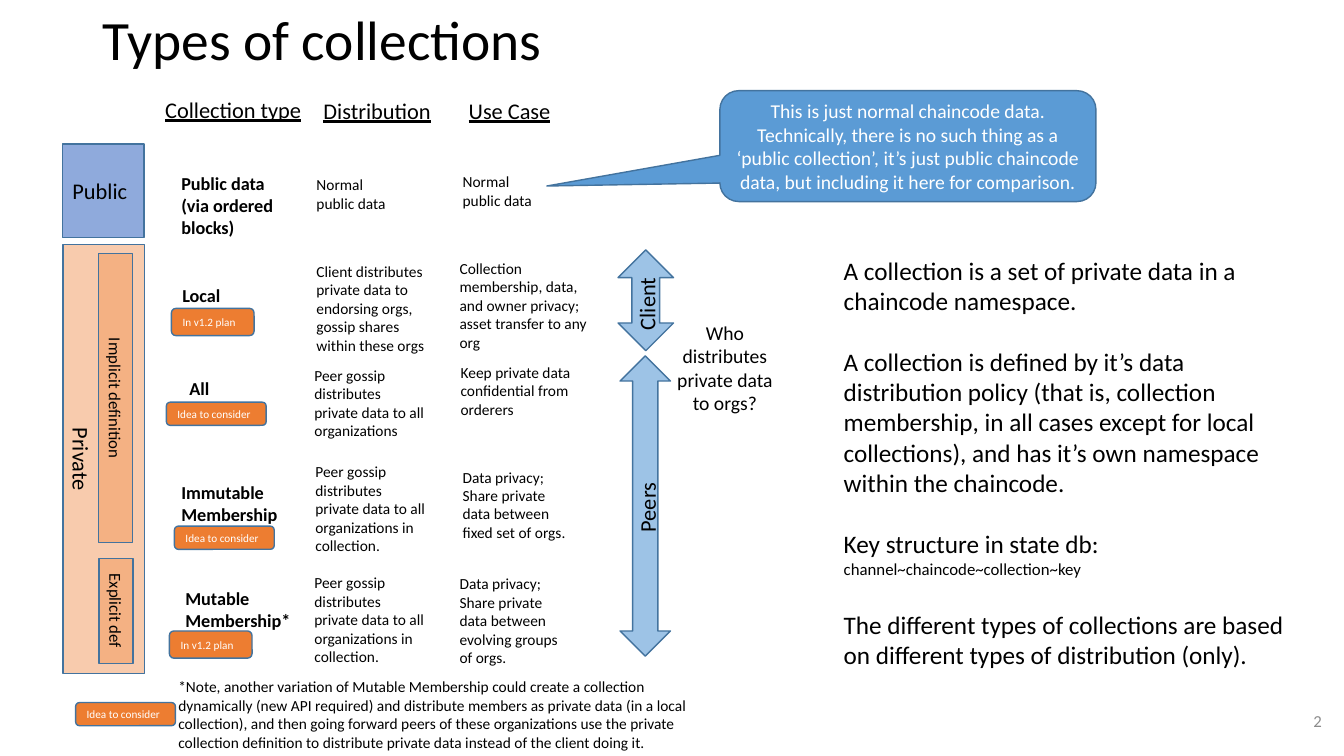
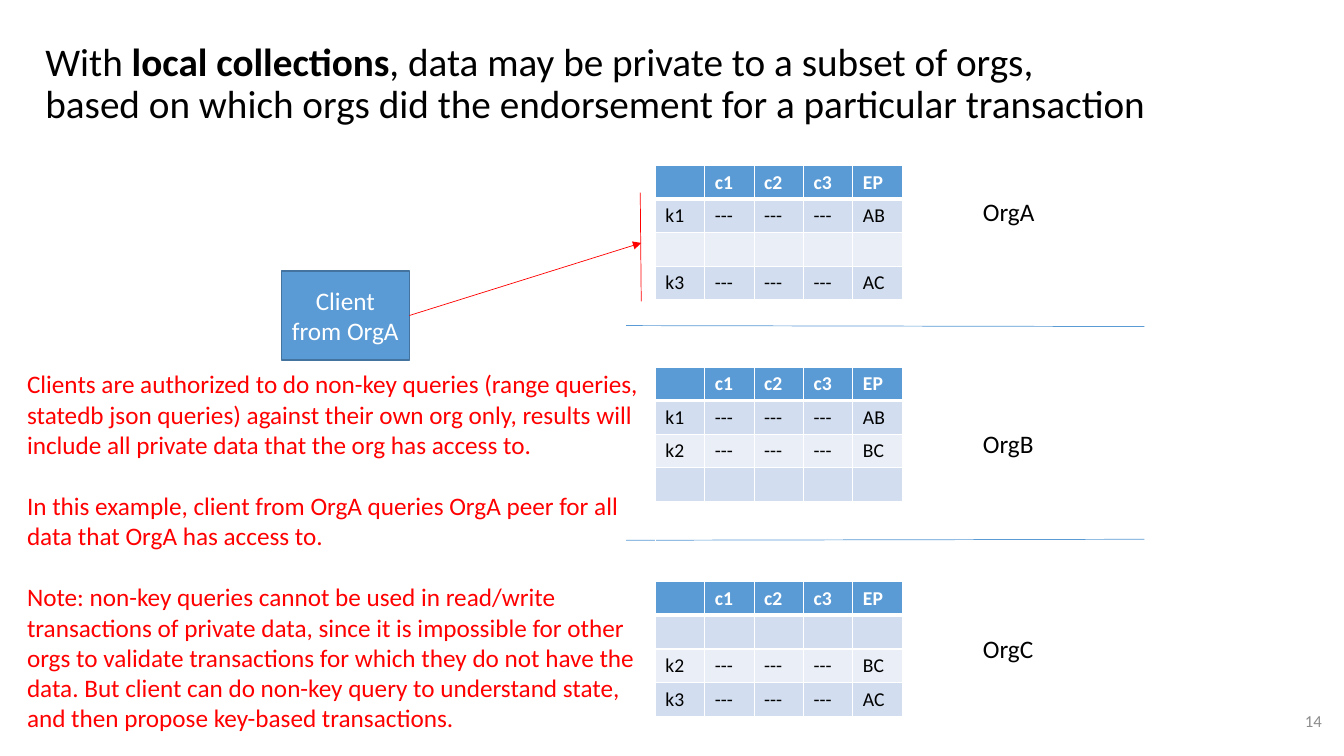
import pptx
import pptx.dml.color
import pptx.enum.shapes
import pptx.enum.text
import pptx.oxml.ns
import pptx.util
from lxml import etree

Inches = pptx.util.Inches
Pt = pptx.util.Pt
SHAPE = pptx.enum.shapes.MSO_SHAPE
ALIGN = pptx.enum.text.PP_ALIGN
ANCHOR = pptx.enum.text.MSO_ANCHOR
FIT = pptx.enum.text.MSO_AUTO_SIZE
qn = pptx.oxml.ns.qn

FONT = "Calibri"
COLORS = {
    "text": "000000", "white": "FFFFFF", "number": "8C8C8C", "alert": "FF0000",
    "accent": "5B9BD5", "outline": "43739E", "arrow": "9DC3E6",
    "public": "8FAADC", "private": "F8CBAD", "definition": "F4B183",
    "badge": "ED7D31", "band_dark": "D2DEEF", "band_light": "EAEFF7",
}
PARAGRAPH_GAP = 22
DASH = "---"
PLAN = ("In v1.2 plan", 0.82, 0.27)
IDEA = ("Idea to consider", 0.99, 0.23)


def rgb(name):
    """Return the named colour."""
    return pptx.dml.color.RGBColor.from_string(COLORS[name])


def box(at):
    """Convert left, top, width, height to lengths."""
    return [Inches(v) for v in at]


def set_font(font, size, color="text", bold=False, underline=False):
    """Format one font."""
    font.name = FONT
    font.size = Pt(size)
    font.color.rgb = rgb(color)
    font.bold = bold
    font.underline = underline


def put_text(sp, lines, size, color="text", align=ALIGN.LEFT, anchor=ANCHOR.TOP,
             wrap=True, gap=0, bold=False, underline=False):
    """Fill a shape with one paragraph per line and return its text frame."""
    tf = sp.text_frame
    tf.word_wrap = wrap
    tf.vertical_anchor = anchor
    for i, line in enumerate(lines):
        p = tf.paragraphs[0] if i == 0 else tf.add_paragraph()
        p.text = line
        p.alignment = align
        p.space_before = Pt(gap if i else 0)
        set_font(p.font, size, color, bold, underline)
    return tf


def add_text(slide, at, lines, size, rotation=0, **style):
    """Add a text box that grows with its text."""
    sp = slide.shapes.add_textbox(*box(at))
    sp.rotation = rotation
    tf = put_text(sp, lines, size, **style)
    tf.auto_size = FIT.SHAPE_TO_FIT_TEXT
    return tf


def add_shape(slide, kind, at, fill, lines=(), size=16, rotation=0,
              line="outline", width=1, **style):
    """Add a preset shape, with text where lines are given."""
    sp = slide.shapes.add_shape(kind, *box(at))
    sp.shadow.inherit = False
    sp.rotation = rotation
    if fill:
        sp.fill.solid()
        sp.fill.fore_color.rgb = rgb(fill)
    else:
        sp.fill.background()
    sp.line.color.rgb = rgb(line)
    sp.line.width = Pt(width)
    put_text(sp, lines, size, **style)
    return sp


def add_badge(slide, left, top, badge):
    """Add a status badge."""
    label, width, height = badge
    add_shape(slide, SHAPE.ROUNDED_RECTANGLE, (left, top, width, height), "badge",
              [label], 8, color="white", anchor=ANCHOR.MIDDLE)


def add_line(slide, start, end, color, arrow=False):
    """Add a thin straight line, with an arrowhead at its end if asked."""
    cn = slide.shapes.add_connector(pptx.enum.shapes.MSO_CONNECTOR.STRAIGHT,
                                    *box(start + end))
    cn.line.color.rgb = rgb(color)
    cn.line.width = Pt(0.5)
    props = cn._element.spPr
    if arrow:
        etree.SubElement(props.find(qn("a:ln")), qn("a:tailEnd"), type="triangle")
    etree.SubElement(props, qn("a:effectLst"))
    return cn


def rule_below(cell):
    """Give a header cell its thick white bottom border."""
    ln = etree.Element(qn("a:lnB"), w=str(Pt(3)))
    fill = etree.SubElement(ln, qn("a:solidFill"))
    etree.SubElement(fill, qn("a:srgbClr"), val=COLORS["white"])
    cell._tc.get_or_add_tcPr().insert(0, ln)


def add_table(slide, left, top, rows):
    """Add a key table with a header row and banded body."""
    header = ("", "c1", "c2", "c3", "EP")
    frame = slide.shapes.add_table(len(rows) + 1, len(header),
                                   *box((left, top, 2.45, 1.12)))
    table = frame.table
    for col in table.columns:
        col.width = Inches(0.49)
    for r, values in enumerate([header] + rows):
        table.rows[r].height = Inches(0.28)
        band = "band_dark" if r % 2 else "band_light"
        for c, value in enumerate(values):
            cell = table.cell(r, c)
            cell.fill.solid()
            cell.fill.fore_color.rgb = rgb(band if r else "accent")
            if r == 0:
                rule_below(cell)
            p = cell.text_frame.paragraphs[0]
            p.text = value
            set_font(p.font, 14, "text" if r else "white", bold=r == 0)


def new_slide(prs, at, title, size, number):
    """Add a slide with its title, given as lines of (text, bold), and number."""
    slide = prs.slides.add_slide(prs.slide_layouts[5])
    sp = slide.shapes.title
    sp.left, sp.top, sp.width, sp.height = box(at)
    tf = sp.text_frame
    tf.auto_size = FIT.NONE
    tf.vertical_anchor = ANCHOR.MIDDLE
    p = tf.paragraphs[0]
    p.alignment = ALIGN.LEFT
    p.line_spacing = 0.9
    set_font(p.font, size)
    for i, line in enumerate(title):
        if i:
            p.add_line_break()
        for text, bold in line:
            run = p.add_run()
            run.text = text
            run.font.bold = bold
    sp = slide.shapes.add_textbox(*box((10.21, 6.95, 3, 0.4)))
    put_text(sp, [number], 12, color="number", align=ALIGN.RIGHT,
             anchor=ANCHOR.MIDDLE)
    return slide


def add_scopes(slide):
    """Add the public and private blocks on the left."""
    add_shape(slide, SHAPE.RECTANGLE, (0.62, 1.43, 0.81, 0.93), "public",
              ["Public"], anchor=ANCHOR.MIDDLE)
    add_shape(slide, SHAPE.RECTANGLE, (-1.1, 4.15, 4.26, 0.81), "private",
              ["Private"], rotation=90, align=ALIGN.CENTER, anchor=ANCHOR.BOTTOM)
    for at, label in (((-0.29, 3.78, 2.87, 0.34), "Implicit definition"),
                      ((0.63, 5.89, 1.04, 0.34), "Explicit def")):
        add_shape(slide, SHAPE.RECTANGLE, at, "definition", [label], 12,
                  rotation=90, align=ALIGN.CENTER, anchor=ANCHOR.MIDDLE)


def add_collections(slide):
    """Add the column heads and the text of each collection type."""
    for at, head in (((1.54, 0.9, 1.57, 0.37), "Collection type"),
                     ((3.11, 0.91, 1.28, 0.37), "Distribution"),
                     ((4.55, 0.91, 1.02, 0.37), "Use Case")):
        add_text(slide, at, [head], 16, wrap=False, underline=True)

    names = [
        ((1.7, 1.66, 1.12, 0.76), ["Public data", "(via ordered", "blocks)"]),
        ((1.71, 2.77, 0.59, 0.32), ["Local"]),
        ((1.78, 3.69, 0.4, 0.32), ["All"]),
        ((1.7, 4.73, 1.17, 0.54), ["Immutable", "Membership"]),
        ((1.74, 5.78, 1.26, 0.54), ["Mutable", "Membership*"]),
    ]
    for at, lines in names:
        add_text(slide, at, lines, 13, wrap=False, bold=True)

    normal = ["Normal public data"]
    gossip = "Peer gossip distributes private data to all organizations"
    privacy = "Data privacy; Share private data between "
    details = [
        ((3.04, 1.69, 0.98, 0.47), normal),
        ((4.49, 1.66, 0.98, 0.47), normal),
        ((3.04, 2.55, 1.3, 1.03),
         ["Client distributes private data to endorsing orgs, gossip shares "
          "within these orgs"]),
        ((4.46, 2.52, 1.46, 1.03),
         ["Collection membership, data, and owner privacy;",
          "asset transfer to any org"]),
        ((3.02, 3.58, 1.3, 0.84), [gossip]),
        ((4.47, 3.55, 1.3, 0.66), ["Keep private data confidential from orderers"]),
        ((3.03, 4.54, 1.3, 1.03), [gossip + " in collection."]),
        ((4.49, 4.59, 1.3, 0.84), [privacy + "fixed set of orgs."]),
        ((3.02, 5.64, 1.3, 1.03), [gossip + " in collection."]),
        ((4.46, 5.65, 1.3, 1.03), [privacy + "evolving groups of orgs."]),
        ((1.67, 6.67, 5.47, 0.84),
         ["*Note, another variation of Mutable Membership could create a collection "
          "dynamically (new API required) and distribute members as private data (in "
          "a local collection), and then going forward peers of these organizations "
          "use the private collection definition to distribute private data instead "
          "of the client doing it."]),
    ]
    for at, lines in details:
        add_text(slide, at, lines, 11)

    for left, top, badge in ((1.7, 3.06, PLAN), (1.65, 3.99, IDEA), (1.73, 5.22, IDEA),
                             (1.68, 6.26, PLAN), (0.75, 6.97, IDEA)):
        add_badge(slide, left, top, badge)


def add_distributors(slide):
    """Add the arrows that show who distributes the data."""
    for arrow, at, label in (
            ((6.13, 2.48, 0.55, 1), (5.95, 2.83, 0.93, 0.37), "Client"),
            ((6.15, 3.53, 0.5, 2.98), (4.87, 4.85, 3.1, 0.37), "Peers")):
        add_shape(slide, SHAPE.UP_DOWN_ARROW, arrow, "arrow")
        add_text(slide, at, [label], 16, rotation=270, align=ALIGN.CENTER)
    add_text(slide, (6.6, 3.13, 1.18, 1.04),
             ["Who distributes", "private data to orgs?"], 14, align=ALIGN.CENTER)


def build_types(prs):
    """Build the overview of collection types."""
    slide = new_slide(prs, (0.92, 0.07, 11.5, 0.71),
                      [[("Types of collections", False)]], 39.6, "2")
    add_scopes(slide)
    add_collections(slide)
    add_distributors(slide)
    callout = add_shape(
        slide, SHAPE.ROUNDED_RECTANGULAR_CALLOUT, (7.14, 0.9, 3.73, 1.1), "accent",
        ["This is just normal chaincode data. Technically, there is no such thing as "
         "a ‘public collection’, it’s just public chaincode data, but including it "
         "here for comparison."],
        14, color="white", align=ALIGN.CENTER, anchor=ANCHOR.MIDDLE)
    for i, value in enumerate((-0.96, 0.36, 0.17)):
        callout.adjustments[i] = value
    tf = add_text(
        slide, (8.27, 2.48, 4.66, 4.24),
        ["A collection is a set of private data in a chaincode namespace.",
         "A collection is defined by it’s data distribution policy (that is, "
         "collection membership, in all cases except for local collections), and has "
         "it’s own namespace within the chaincode.",
         "Key structure in state db: ",
         "The different types of collections are based on different types of "
         "distribution (only)."], 18, gap=PARAGRAPH_GAP)
    key = tf.paragraphs[2].add_run()
    key.text = "channel~chaincode~collection~key"
    key.font.size = Pt(12)


def build_local(prs):
    """Build the example of local collections in three orgs."""
    slide = new_slide(
        prs, (0.35, 0.35, 12.73, 1.45),
        [[("With ", False), ("local collections", True),
          (", data may be private to a subset of orgs,", False)],
         [("based on which orgs did the endorsement for a particular transaction",
           False)]], 28, "14")
    title = slide.shapes.title.text_frame
    title.vertical_anchor = ANCHOR.TOP
    title.margin_top = Inches(0.07)

    keys = {k: (k, DASH, DASH, DASH, ep)
            for k, ep in (("k1", "AB"), ("k2", "BC"), ("k3", "AC"))}
    for org, top, label_top, missing in (("OrgA", 1.64, 1.9, "k2"),
                                         ("OrgB", 3.64, 4.2, "k3"),
                                         ("OrgC", 5.77, 6.23, "k1")):
        add_table(slide, 6.5, top,
                  [("",) * 5 if k == missing else row for k, row in keys.items()])
        add_text(slide, (9.65, label_top, 0.72, 0.4), [org], 18, wrap=False)

    add_line(slide, (6.21, 3.23), (11.35, 3.24), "accent")
    add_line(slide, (6.21, 5.36), (11.35, 5.35), "accent")
    client = add_shape(slide, SHAPE.RECTANGLE, (2.79, 2.69, 1.27, 0.88), "accent",
                       ["Client", "from OrgA"], 18, color="white",
                       align=ALIGN.CENTER, anchor=ANCHOR.MIDDLE)
    query = add_line(slide, (4.06, 3.13), (6.36, 2.41), "alert", arrow=True)
    query.begin_connect(client, 3)
    add_shape(
        slide, SHAPE.RECTANGLE, (0.17, 3.61, 6.33, 3.74), None,
        ["Clients are authorized to do non-key queries (range queries, statedb json "
         "queries) against their own org only, results will include all private data "
         "that the org has access to.",
         "In this example, client from OrgA queries OrgA peer for all data that OrgA "
         "has access to.",
         "Note: non-key queries cannot be used in read/write transactions of private "
         "data, since it is impossible for other orgs to validate transactions for "
         "which they do not have the data. But client can do non-key query to "
         "understand state, and then propose key-based transactions."],
        18, line="white", width=0.75, color="alert", gap=PARAGRAPH_GAP)
    add_line(slide, (6.35, 1.91), (6.36, 2.99), "alert")


def main():
    """Build and save the presentation."""
    prs = pptx.Presentation()
    prs.slide_width, prs.slide_height = Inches(13.33), Inches(7.5)
    build_types(prs)
    build_local(prs)
    prs.save("out.pptx")


main()
